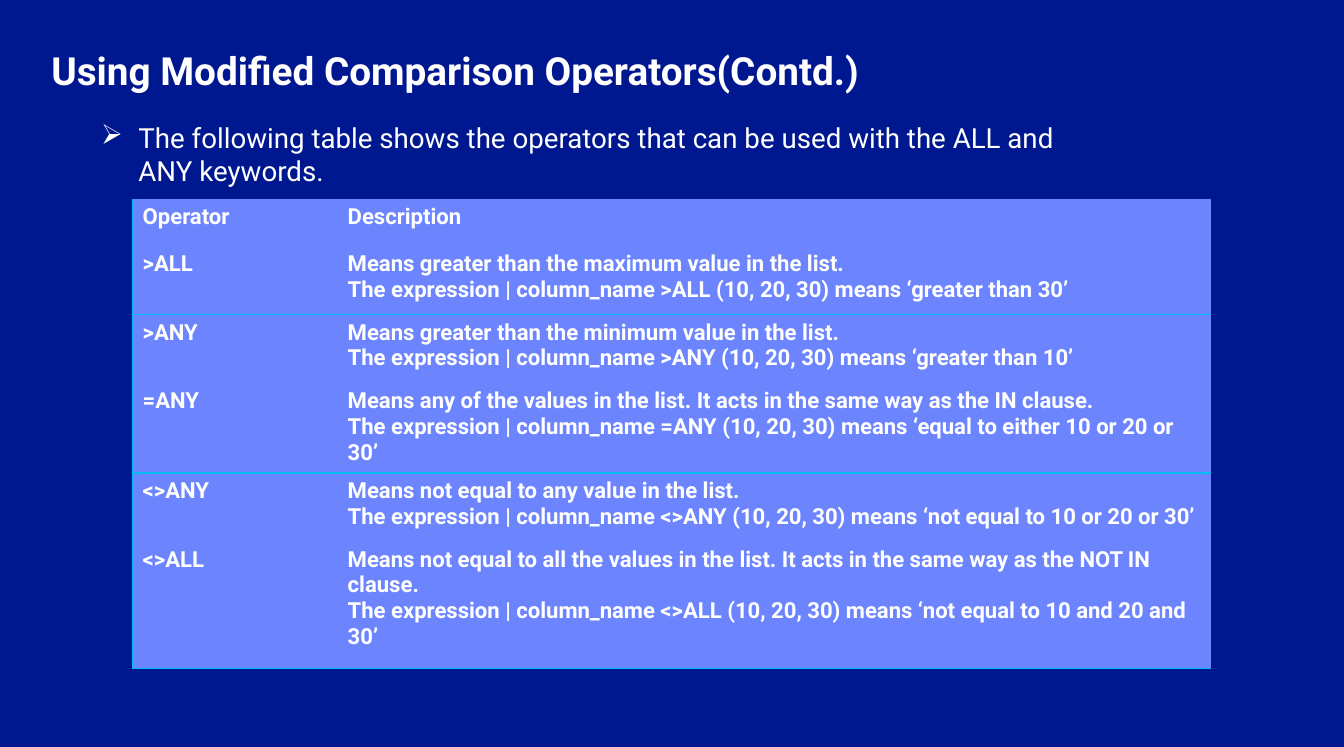
from lxml.etree import SubElement
from pptx import Presentation
from pptx.dml.color import RGBColor
from pptx.enum.text import MSO_ANCHOR, PP_ALIGN
from pptx.oxml import parse_xml
from pptx.oxml.ns import nsdecls, qn
from pptx.util import Pt

FONT = "Roboto"
COLORS = {"back": "00188F", "text": "FFFFFF", "cell": "6C85FF", "line": "00BCF2"}

ROWS = [
    ("Operator", "Description"),
    (">ALL", "Means greater than the maximum value in the list.\n"
             "The expression | column_name >ALL (10, 20, 30) means ‘greater than 30’"),
    (">ANY", "Means greater than the minimum value in the list.\n"
             "The expression | column_name >ANY (10, 20, 30) means ‘greater than 10’"),
    ("=ANY", "Means any of the values in the list. It acts in the same way as the IN clause.\n"
             "The expression | column_name =ANY (10, 20, 30) means "
             "‘equal to either 10 or 20 or 30’"),
    ("<>ANY", "Means not equal to any value in the list.\n"
              "The expression | column_name <>ANY (10, 20, 30) means "
              "‘not equal to 10 or 20 or 30’"),
    ("<>ALL", "Means not equal to all the values in the list. "
              "It acts in the same way as the NOT IN clause.\n"
              "The expression | column_name <>ALL (10, 20, 30) means "
              "‘not equal to 10 and 20 and 30’"),
]
WIDTHS = (148.3, 631.7)
HEIGHTS = (33.8, 49.7, 49.7, 49.7, 49.7, 91.4)
RULED = (1, 3, 5)  # rows with a line below


def color(name):
    return RGBColor.from_string(COLORS[name])


def style(frame, size, bold=False):
    for para in frame.paragraphs:
        para.alignment = PP_ALIGN.LEFT
        for run in para.runs:
            font = run.font
            font.name, font.size, font.bold = FONT, Pt(size), bold
            font.color.rgb = color("text")


def border(cell, sides):
    """Draw the named sides of a cell and clear the others."""
    props = cell._tc.get_or_add_tcPr()
    for spot, side in enumerate("LRTB"):
        fill = "<a:noFill/>"
        if side in sides:
            fill = f'<a:solidFill><a:srgbClr val="{COLORS["line"]}"/></a:solidFill>'
        line = f'<a:ln{side} {nsdecls("a")} w="{Pt(1)}">{fill}</a:ln{side}>'
        props.insert(spot, parse_xml(line))


def add_title(slide, left, top, width, height):
    title = slide.shapes.title
    title.left, title.top = Pt(left), Pt(top)
    title.width, title.height = Pt(width), Pt(height)
    frame = title.text_frame
    frame.text = "Using Modified Comparison Operators(Contd.)"
    frame.vertical_anchor = MSO_ANCHOR.TOP
    style(frame, 28, True)


def add_point(slide, left, top, width, height):
    box = slide.shapes.add_textbox(Pt(left), Pt(top), Pt(width), Pt(height))
    frame = box.text_frame
    frame.word_wrap = True
    frame.text = ("The following table shows the operators that can be used "
                  "with the ALL and ANY keywords.")
    style(frame, 20)
    # Arrow bullet with a hanging indent
    props = frame.paragraphs[0]._p.get_or_add_pPr()
    props.set("marL", str(Pt(27)))
    props.set("indent", str(-Pt(27)))
    SubElement(props, qn("a:buChar")).set("char", "➢")


def add_grid(slide, left, top, width, height):
    shape = slide.shapes.add_table(len(ROWS), len(WIDTHS), Pt(left), Pt(top),
                                   Pt(width), Pt(height))
    table = shape.table
    table.first_row = table.horz_banding = False
    for col, size in zip(table.columns, WIDTHS):
        col.width = Pt(width * size / sum(WIDTHS))
    for row, size in zip(table.rows, HEIGHTS):
        row.height = Pt(height * size / sum(HEIGHTS))
    for r, texts in enumerate(ROWS):
        for c, text in enumerate(texts):
            cell = table.cell(r, c)
            cell.text_frame.text = text
            style(cell.text_frame, 16, True)
            cell.fill.solid()
            cell.fill.fore_color.rgb = color("cell")
            sides = "L" if c == 0 else ""
            sides += "T" if r - 1 in RULED else ""
            sides += "B" if r in RULED else ""
            border(cell, sides)


deck = Presentation()
deck.slide_width, deck.slide_height = Pt(972), Pt(540)
slide = deck.slides.add_slide(deck.slide_layouts[5])
slide.background.fill.solid()
slide.background.fill.fore_color.rgb = color("back")

# Heading, lead-in and operator table
add_title(slide, 30, 30, 690, 41)
add_point(slide, 66, 84, 714, 78)
add_grid(slide, 96, 144, 780, 324)

deck.save("out.pptx")
